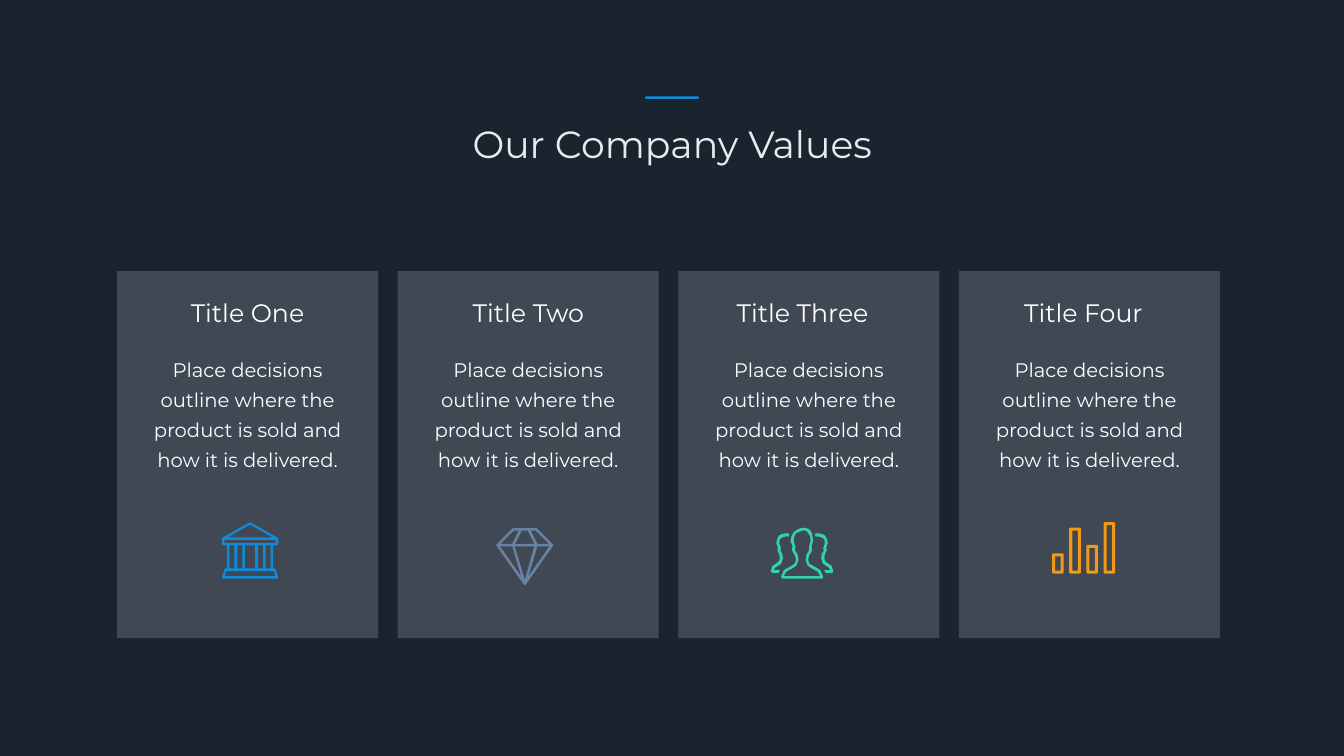
import dataclasses

import lxml.etree
import pptx
import pptx.dml.color
import pptx.enum.shapes
import pptx.enum.text
import pptx.oxml.ns
import pptx.util

Inches = pptx.util.Inches


@dataclasses.dataclass(frozen=True)
class Theme:
    font: str = "Montserrat"
    background: str = "19242F"
    heading: str = "E6ECED"
    text: str = "FFFFFF"
    card: str = "EFF1F8"
    card_opacity: int = 18
    blue: str = "0F8BDA"
    slate: str = "6882A1"
    green: str = "33D1AD"
    orange: str = "F29A15"
    heading_size: int = 54
    title_size: int = 36
    body_size: int = 28
    body_leading: int = 43


class Painter:
    def __init__(self, slide, theme):
        self.slide = slide
        self.theme = theme
        self.paint(slide.background.fill, theme.background)

    def paint(self, fill, color):
        fill.solid()
        fill.fore_color.rgb = pptx.dml.color.RGBColor.from_string(color)

    def finish(self, shape, color):
        shape.shadow.inherit = False
        shape.line.fill.background()
        self.paint(shape.fill, color)

    def rectangle(self, left, top, width, height, color, opacity=100):
        shape = self.slide.shapes.add_shape(
            pptx.enum.shapes.MSO_SHAPE.RECTANGLE,
            Inches(left), Inches(top), Inches(width), Inches(height))
        self.finish(shape, color)
        if opacity < 100:
            tint = shape.fill._xPr.find(".//" + pptx.oxml.ns.qn("a:srgbClr"))
            alpha = lxml.etree.SubElement(tint, pptx.oxml.ns.qn("a:alpha"))
            alpha.set("val", str(opacity * 1000))

    def text(self, left, top, width, height, words, size, color, leading=None, wrap=True):
        box = self.slide.shapes.add_textbox(
            Inches(left), Inches(top), Inches(width), Inches(height))
        frame = box.text_frame
        frame.word_wrap = wrap
        frame.auto_size = pptx.enum.text.MSO_AUTO_SIZE.SHAPE_TO_FIT_TEXT
        para = frame.paragraphs[0]
        para.alignment = pptx.enum.text.PP_ALIGN.CENTER
        if leading:
            para.line_spacing = pptx.util.Pt(leading)
        span = para.add_run()
        span.text = words
        span.font.name = self.theme.font
        span.font.size = pptx.util.Pt(size)
        span.font.color.rgb = pptx.dml.color.RGBColor.from_string(color)

    def icon(self, contours, color):
        outlines = [[(Inches(x), Inches(y)) for x, y in contour] for contour in contours]
        builder = self.slide.shapes.build_freeform(*outlines[0][0], scale=1.0)
        for number, outline in enumerate(outlines):
            if number:
                builder.move_to(*outline[0])
            builder.add_line_segments(outline[1:], close=True)
        self.finish(builder.convert_to_shape(), color)


def block(left, top, right, bottom):
    return [(left, top), (right, top), (right, bottom), (left, bottom)]


def soft_block(left, top, right, bottom, cut=0.02):
    return [(left + cut, top), (right - cut, top), (right, top + cut), (right, bottom - cut),
            (right - cut, bottom), (left + cut, bottom), (left, bottom - cut), (left, top + cut)]


def mirrored(points, axis):
    return [(2 * axis - x, y) for x, y in points]


def symmetric(half, axis):
    return half + mirrored(half, axis)[::-1]


def bank_icon():
    axis = 4.96
    outline = symmetric([
        (4.96, 10.36), (4.41, 10.67), (4.4, 10.69), (4.4, 10.79), (4.42, 10.82), (4.5, 10.82),
        (4.5, 11.28), (4.46, 11.28), (4.4, 11.45), (4.42, 11.48)], axis)
    roof = [(4.96, 10.41), (5.4, 10.66), (4.52, 10.66)]
    base = symmetric([(4.49, 11.33), (4.46, 11.43)], axis)
    columns = [(4.55, 4.65), (4.71, 4.81), (4.86, 5.06), (5.12, 5.22), (5.27, 5.37)]
    gaps = [block(left, 10.82, right, 11.28) for left, right in columns]
    return [outline, roof, block(4.45, 10.71, 5.47, 10.77), base] + gaps


def diamond_icon():
    axis = 10.41
    outline = symmetric([
        (10.18, 10.48), (10.16, 10.49), (9.85, 10.8), (9.84, 10.82), (9.85, 10.83),
        (10.39, 11.6), (10.41, 11.61)], axis)
    crown = symmetric([(10.35, 10.53), (10.22, 10.79)], axis)
    center = [(10.41, 11.5), (10.21, 10.84), (10.6, 10.84)]
    facets = [[(10.19, 10.53), (10.29, 10.53), (10.16, 10.79), (9.93, 10.79)],
              [(9.92, 10.84), (10.16, 10.84), (10.34, 11.44)]]
    return [outline, crown, center] + facets + [mirrored(facet, axis) for facet in facets]


def people_icon():
    outer = [
        (16.14, 11.23), (16.06, 11.19), (16.03, 11.11), (16.05, 11.02), (16.09, 10.96),
        (16.11, 10.92), (16.1, 10.84), (16.13, 10.73), (16.11, 10.6), (16.08, 10.53),
        (16.03, 10.49), (15.95, 10.47), (15.88, 10.48), (15.83, 10.5), (15.75, 10.55),
        (15.7, 10.64), (15.68, 10.74), (15.72, 10.83), (15.71, 10.91), (15.73, 10.96),
        (15.77, 11.02), (15.79, 11.11), (15.76, 11.19), (15.69, 11.23), (15.55, 11.31),
        (15.49, 11.45), (15.52, 11.48), (16.31, 11.48), (16.33, 11.45), (16.27, 11.31)]
    inner = [
        (15.55, 11.43), (15.6, 11.34), (15.7, 11.29), (15.8, 11.22), (15.84, 11.11),
        (15.82, 11), (15.77, 10.92), (15.78, 10.85), (15.75, 10.76), (15.75, 10.66),
        (15.79, 10.58), (15.86, 10.55), (15.95, 10.52), (16, 10.54), (16.06, 10.62),
        (16.08, 10.72), (16.06, 10.8), (16.05, 10.85), (16.05, 10.92), (16, 11),
        (15.98, 11.11), (16.02, 11.22), (16.12, 11.29), (16.22, 11.34), (16.27, 11.43)]
    neighbor = [
        (16.41, 11.17), (16.37, 11.14), (16.35, 11.08), (16.36, 11.01), (16.38, 10.96),
        (16.4, 10.92), (16.39, 10.86), (16.42, 10.78), (16.41, 10.71), (16.37, 10.63),
        (16.32, 10.6), (16.22, 10.58), (16.16, 10.59), (16.18, 10.65), (16.22, 10.64),
        (16.29, 10.66), (16.33, 10.68), (16.36, 10.73), (16.36, 10.79), (16.34, 10.84),
        (16.33, 10.88), (16.34, 10.93), (16.3, 10.99), (16.29, 11.08), (16.32, 11.18),
        (16.39, 11.23), (16.44, 11.26), (16.47, 11.31), (16.35, 11.31), (16.38, 11.37),
        (16.5, 11.37), (16.53, 11.34), (16.5, 11.23)]
    return [outer, inner, neighbor, mirrored(neighbor, 15.91)]


def bars_icon():
    contours = []
    for number, top in enumerate([10.98, 10.47, 10.81, 10.36]):
        left = 20.87 + 0.34 * number
        contours.append(soft_block(left, top, left + 0.23, 11.38))
        contours.append(block(left + 0.06, top + 0.06, left + 0.17, 11.32))
    return contours


def main():
    deck = pptx.Presentation()
    deck.slide_width, deck.slide_height = Inches(26.66), Inches(15)
    theme = Theme()
    painter = Painter(deck.slides.add_slide(deck.slide_layouts[6]), theme)

    painter.text(9.2, 2.34, 8.27, 1.01, "Our Company Values",
                 theme.heading_size, theme.heading, wrap=False)
    painter.rectangle(12.8, 1.91, 1.06, 0.05, theme.blue)

    body = "Place decisions outline where the product is sold and how it is delivered."
    cards = [("Title One", 3.05, 3.72, bank_icon(), theme.blue),
             ("Title Two", 8.62, 3.72, diamond_icon(), theme.slate),
             ("Title Three", 13.84, 4.16, people_icon(), theme.green),
             ("Title Four", 19.45, 4.08, bars_icon(), theme.orange)]
    for number, (title, title_left, title_width, contours, color) in enumerate(cards):
        left = 2.32 + 5.567 * number
        painter.rectangle(left, 5.38, 5.18, 7.28, theme.card, theme.card_opacity)
        painter.text(left + 0.55, 6.92, 4.08, 2.46, body,
                     theme.body_size, theme.text, theme.body_leading)
        painter.text(title_left, 5.84, title_width, 0.71, title, theme.title_size, theme.text)
        painter.icon(contours, color)

    deck.save("out.pptx")


if __name__ == "__main__":
    main()
